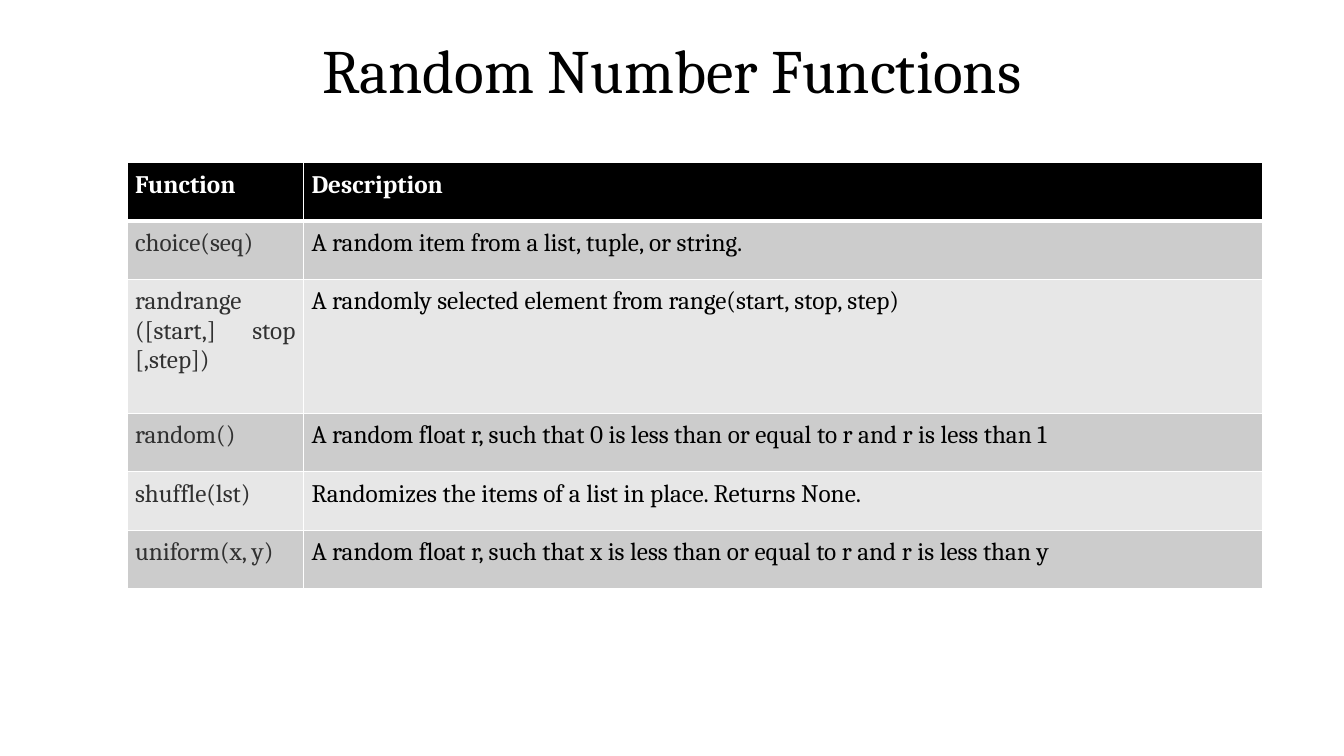
from dataclasses import dataclass

import lxml.etree
import pptx
import pptx.dml.color
import pptx.enum.text
import pptx.oxml.ns
import pptx.util
from pptx.util import Inches


@dataclass(frozen=True)
class Theme:
    """Colours, font and type sizes of the slide."""
    font: str = "Cambria"
    title_size: int = 44
    table_size: int = 18
    black: str = "000000"
    white: str = "FFFFFF"
    code: str = "313131"
    bands: tuple = ("CCCCCC", "E7E7E7")
    thin: int = 1
    thick: int = 3


THEME = Theme()
ALIGN = pptx.enum.text.PP_ALIGN
HEADINGS = ("Function", "Description")
FUNCTIONS = (
    ("choice(seq)", "A random item from a list, tuple, or string."),
    ("randrange ([start,] stop [,step])",
     "A randomly selected element from range(start, stop, step)"),
    ("random()",
     "A random float r, such that 0 is less than or equal to r and r is less than 1"),
    ("shuffle(lst)", "Randomizes the items of a list in place. Returns None."),
    ("uniform(x, y)",
     "A random float r, such that x is less than or equal to r and r is less than y"),
)
COLUMN_WIDTHS = (1.75, 9.51)
ROW_HEIGHTS = (0.58, 0.58, 1.33, 0.58, 0.58, 0.58)


def colour(code):
    """Turn a hex code into a colour value."""
    return pptx.dml.color.RGBColor.from_string(code)


def add_span(para, text, size, ink, bold=False):
    """Add one formatted run to a paragraph."""
    span = para.add_run()
    span.text = text
    span.font.name = THEME.font
    span.font.size = pptx.util.Pt(size)
    span.font.bold = bold
    span.font.color.rgb = colour(ink)


def set_title(page, text):
    """Place and write the slide title."""
    box = page.shapes.title
    box.left, box.top = Inches(0), Inches(0)
    box.width, box.height = Inches(13.33), Inches(1.45)
    box.text_frame.vertical_anchor = pptx.enum.text.MSO_ANCHOR.MIDDLE
    para = box.text_frame.paragraphs[0]
    para.alignment = ALIGN.CENTER
    para.line_spacing = 0.9
    add_span(para, text, THEME.title_size, THEME.black)


def set_borders(cell, top, bottom):
    """Draw white borders around a cell, with widths in points."""
    qn = pptx.oxml.ns.qn
    properties = cell._tc.get_or_add_tcPr()
    widths = {"lnL": THEME.thin, "lnR": THEME.thin, "lnT": top, "lnB": bottom}
    for side, width in widths.items():
        line = lxml.etree.SubElement(
            properties, qn(f"a:{side}"), w=str(pptx.util.Pt(width)))
        fill = lxml.etree.SubElement(line, qn("a:solidFill"))
        lxml.etree.SubElement(fill, qn("a:srgbClr"), val=THEME.white)


def fill_cell(cell, text, row, column):
    """Style and write one table cell."""
    heading = row == 0
    set_borders(cell,
                top=THEME.thick if row == 1 else THEME.thin,
                bottom=THEME.thick if heading else THEME.thin)
    cell.fill.solid()
    band = THEME.bands[(row - 1) % 2]
    cell.fill.fore_color.rgb = colour(THEME.black if heading else band)
    cell.margin_left = cell.margin_right = Inches(0.08)
    cell.margin_top = cell.margin_bottom = Inches(0.08)
    para = cell.text_frame.paragraphs[0]
    is_code = column == 0 and not heading
    para.alignment = ALIGN.JUSTIFY if is_code else ALIGN.LEFT
    ink = THEME.white if heading else THEME.code if is_code else THEME.black
    add_span(para, text, THEME.table_size, ink, heading)


def add_function_table(page):
    """Add the table of functions and their descriptions."""
    rows = (HEADINGS, *FUNCTIONS)
    table = page.shapes.add_table(
        len(rows), len(HEADINGS), Inches(1.26), Inches(1.61),
        Inches(sum(COLUMN_WIDTHS)), Inches(sum(ROW_HEIGHTS))).table
    for column, width in zip(table.columns, COLUMN_WIDTHS):
        column.width = Inches(width)
    for row, height in zip(table.rows, ROW_HEIGHTS):
        row.height = Inches(height)
    for row, texts in enumerate(rows):
        for column, text in enumerate(texts):
            fill_cell(table.cell(row, column), text, row, column)


def main():
    """Build the slide and save the deck."""
    deck = pptx.Presentation()
    deck.slide_width, deck.slide_height = Inches(13.33), Inches(7.5)
    page = deck.slides.add_slide(deck.slide_layouts.get_by_name("Title Only"))
    set_title(page, "Random Number Functions")
    add_function_table(page)
    deck.save("out.pptx")


if __name__ == "__main__":
    main()
